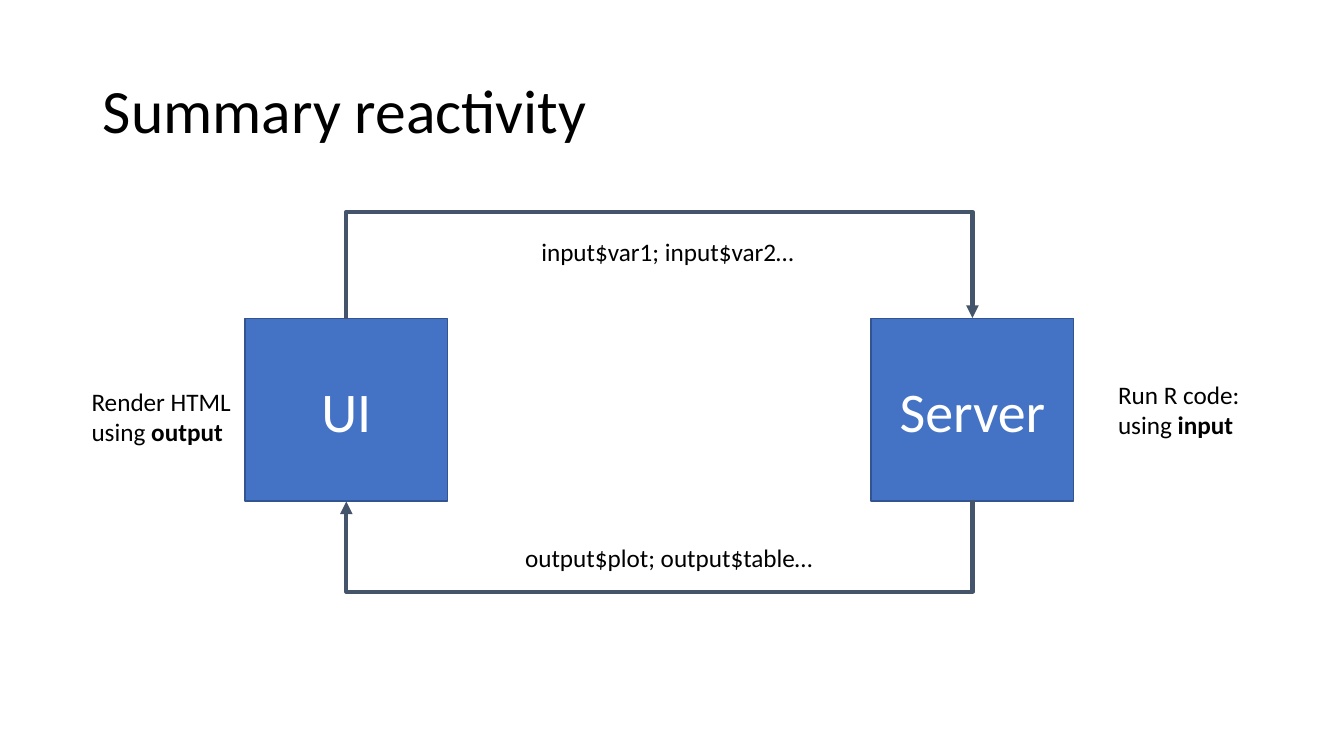
import pptx
import pptx.util
import pptx.dml.color
import pptx.enum.shapes
import pptx.enum.text
import pptx.oxml.ns
import lxml.etree

In = pptx.util.Inches
Pt = pptx.util.Pt
qn = pptx.oxml.ns.qn
FONT = "Calibri"
SPAN = 0.01


def rgb(value):
    return pptx.dml.color.RGBColor.from_string(value)


def set_font(p, size, color="000000"):
    p.font.name = FONT
    p.font.size = Pt(size)
    p.font.color.rgb = rgb(color)


def add_title(s, text, box):
    sp = s.shapes.title
    sp.left, sp.top, sp.width, sp.height = map(In, box)
    tf = sp.text_frame
    tf.text = text
    tf.vertical_anchor = pptx.enum.text.MSO_ANCHOR.MIDDLE
    p = tf.paragraphs[0]
    p.alignment = pptx.enum.text.PP_ALIGN.LEFT
    p.line_spacing = 0.9
    set_font(p, 44)


def add_node(s, text, box):
    sp = s.shapes.add_shape(pptx.enum.shapes.MSO_SHAPE.RECTANGLE, *map(In, box))
    sp.shadow.inherit = False
    sp.fill.solid()
    sp.fill.fore_color.rgb = rgb("4472C4")
    sp.line.color.rgb = rgb("325491")
    sp.line.width = Pt(1)
    tf = sp.text_frame
    tf.text = text
    tf.vertical_anchor = pptx.enum.text.MSO_ANCHOR.MIDDLE
    p = tf.paragraphs[0]
    p.alignment = pptx.enum.text.PP_ALIGN.CENTER
    set_font(p, 40, "FFFFFF")
    return sp


def add_label(s, text, box, bold="", wrap=True):
    tf = s.shapes.add_textbox(*map(In, box)).text_frame
    tf.word_wrap = wrap
    p = tf.paragraphs[0]
    set_font(p, 18)
    p.add_run().text = text
    if bold:
        r = p.add_run()
        r.text = bold
        r.font.bold = True


def add_loop(s, source, target, site, reach):
    cn = s.shapes.add_connector(pptx.enum.shapes.MSO_CONNECTOR.ELBOW, 0, 0, 0, 0)
    cn.begin_connect(source, site)
    cn.end_connect(target, site)
    length = abs(cn.end_x - cn.begin_x)
    center_x = (cn.begin_x + cn.end_x) // 2
    center_y = cn.begin_y
    cn.line.color.rgb = rgb("44546A")
    cn.line.width = Pt(3)

    spPr = cn._element.spPr
    xfrm = spPr.find(qn("a:xfrm"))
    for flip in ("flipH", "flipV"):
        xfrm.set(flip, "1" if site == 0 else "0")
    xfrm.set("rot", "5400000")
    cn.left, cn.top = center_x - In(SPAN) // 2, center_y - length // 2
    cn.width, cn.height = In(SPAN), length

    guides = spPr.find(qn("a:prstGeom")).get_or_add_avLst()
    lxml.etree.SubElement(guides, qn("a:gd"), name="adj1",
                          fmla=f"val {round(reach / SPAN * 100000)}")
    line = spPr.find(qn("a:ln"))
    lxml.etree.SubElement(line, qn("a:tailEnd"), type="triangle")
    lxml.etree.SubElement(spPr, qn("a:effectLst"))


def add_cycle(s, box):
    x, y, w, h = box
    node_w, node_h = 2.01, 1.81
    above = 1.08
    below = h - above - node_h
    node_y = y + above
    ui = add_node(s, "UI", (x, node_y, node_w, node_h))
    server = add_node(s, "Server", (x + w - node_w, node_y, node_w, node_h))
    add_loop(s, ui, server, 0, above)
    add_loop(s, server, ui, 2, below)
    add_label(s, "input$var1; input$var2…", (x + 2.84, y + 0.22, 2.79, 0.4), wrap=False)
    add_label(s, "output$plot; output$table…", (x + 2.68, y + 3.25, 3.1, 0.4), wrap=False)
    add_label(s, "Run R code: using ", (x + w + 0.34, y + 1.63, 1.42, 0.71), "input")
    add_label(s, "Render HTML using ", (x - 1.62, y + 1.7, 1.63, 0.71), "output")


def main():
    prs = pptx.Presentation()
    prs.slide_width, prs.slide_height = In(13.33), In(7.5)
    s = prs.slides.add_slide(prs.slide_layouts[5])
    add_title(s, "Summary reactivity", (0.92, 0.4, 11.5, 1.45))
    add_cycle(s, (2.43, 2.08, 8.22, 3.81))
    prs.save("out.pptx")


if __name__ == "__main__":
    main()
